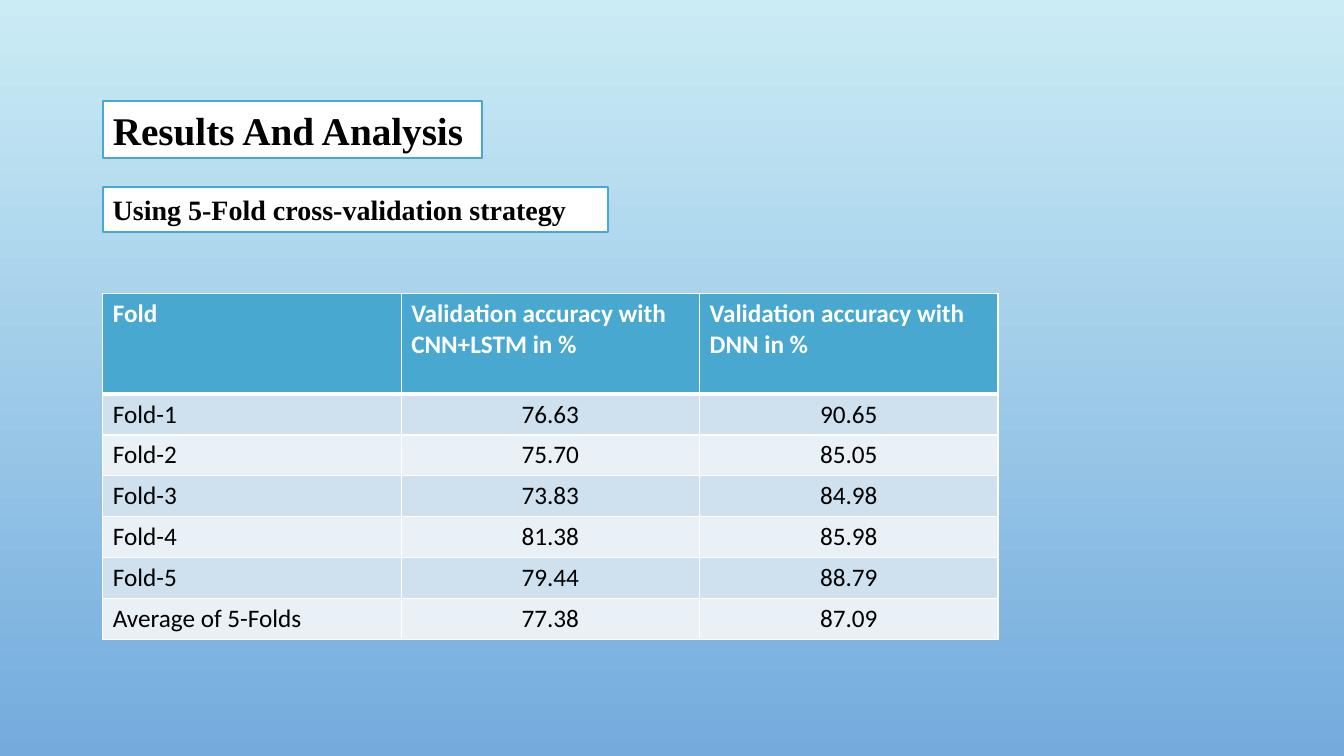
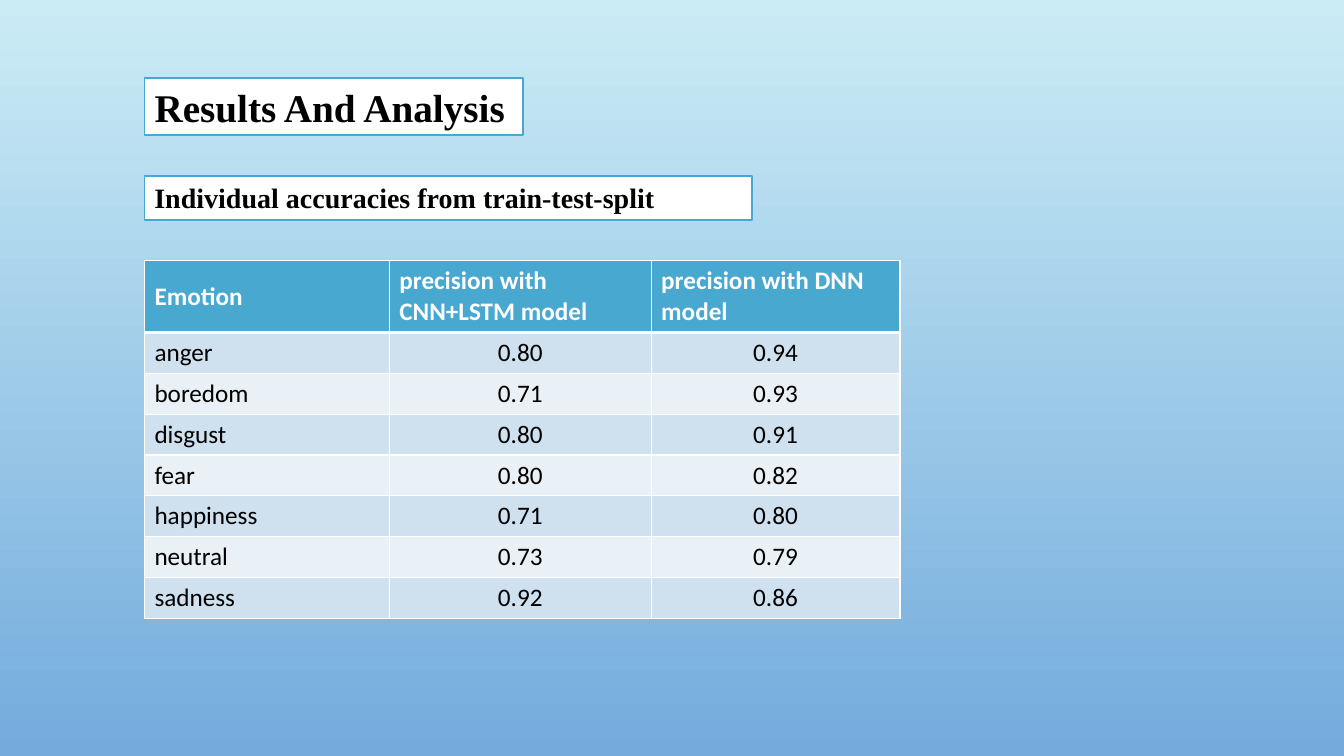
from dataclasses import dataclass

from lxml import etree
from pptx import Presentation
from pptx.dml.color import RGBColor
from pptx.enum.text import MSO_ANCHOR, MSO_AUTO_SIZE, PP_ALIGN
from pptx.oxml.ns import qn
from pptx.presentation import Presentation as Deck
from pptx.shapes.base import BaseShape
from pptx.slide import Slide
from pptx.table import _Cell
from pptx.text.text import Font
from pptx.util import Cm, Pt

TOP, MIDDLE = MSO_ANCHOR.TOP, MSO_ANCHOR.MIDDLE
LEFT, CENTER = PP_ALIGN.LEFT, PP_ALIGN.CENTER
FIXED_SIZE = MSO_AUTO_SIZE.NONE
TITLE_ONLY = 5


@dataclass(frozen=True)
class Theme:
    """Colours, fonts and type sizes used by every slide."""

    sky: str = "CBECF5"
    sea: str = "73ABDD"
    accent: str = "48A8D0"
    white: str = "FFFFFF"
    ink: str = "000000"
    bands: tuple[str, str] = ("CFE1EE", "E9F1F7")
    heading_font: str = "Times New Roman"
    table_font: str = "Calibri"
    title_size: float = 28
    subtitle_size: float = 20
    table_size: float = 18
    box_line: float = 1.25
    rule: float = 1
    header_rule: float = 3


@dataclass(frozen=True)
class ResultSlide:
    """Content of one result slide, with its lengths in centimetres."""

    left: float
    title_top: float
    subtitle: str
    subtitle_top: float
    subtitle_width: float
    table_top: float
    column_widths: tuple[float, ...]
    header_height: float
    anchor: MSO_ANCHOR
    header: tuple[str, ...]
    results: tuple[tuple[str, ...], ...]


THEME = Theme()
TITLE = "Results And Analysis"
TITLE_WIDTH, TITLE_HEIGHT, SUBTITLE_HEIGHT = 9.55, 1.45, 1.12
ROW_HEIGHT = 1.03

RESULT_SLIDES = (
    ResultSlide(
        left=2.59,
        title_top=2.54,
        subtitle="Using 5-Fold cross-validation strategy",
        subtitle_top=4.72,
        subtitle_width=12.73,
        table_top=7.39,
        column_widths=(7.52, 7.52, 7.52),
        header_height=2.54,
        anchor=TOP,
        header=("Fold", "Validation accuracy with CNN+LSTM in %", "Validation accuracy with DNN in %"),
        results=(
            ("Fold-1", "76.63", "90.65"),
            ("Fold-2", "75.70", "85.05"),
            ("Fold-3", "73.83", "84.98"),
            ("Fold-4", "81.38", "85.98"),
            ("Fold-5", "79.44", "88.79"),
            ("Average of 5-Folds", "77.38", "87.09"),
        ),
    ),
    ResultSlide(
        left=3.64,
        title_top=1.96,
        subtitle="Individual accuracies from train-test-split",
        subtitle_top=4.43,
        subtitle_width=15.32,
        table_top=6.57,
        column_widths=(6.17, 6.6, 6.27),
        header_height=1.75,
        anchor=MIDDLE,
        header=("Emotion", "precision with CNN+LSTM model", "precision with DNN model"),
        results=(
            ("anger", "0.80", "0.94"),
            ("boredom", "0.71", "0.93"),
            ("disgust", "0.80", "0.91"),
            ("fear", "0.80", "0.82"),
            ("happiness", "0.71", "0.80"),
            ("neutral", "0.73", "0.79"),
            ("sadness", "0.92", "0.86"),
        ),
    ),
)


def rgb(value: str) -> RGBColor:
    """Turn a hex string into a colour."""
    return RGBColor.from_string(value)


def format_font(font: Font, name: str, size: float, color: str, bold: bool) -> None:
    """Set the typeface, size, colour and weight of a font."""
    font.name, font.size, font.bold = name, Pt(size), bold
    font.color.rgb = rgb(color)


def paint_background(deck: Deck) -> None:
    """Give the master a vertical gradient that all slides inherit."""
    fill = deck.slide_master.background.fill
    fill.gradient()
    fill.gradient_angle = 270
    for stop, color in zip(fill.gradient_stops, (THEME.sky, THEME.sea)):
        stop.color.rgb = rgb(color)


def style_heading(heading: BaseShape, text: str, size: float) -> None:
    """Write a heading into a white box with an accent outline."""
    heading.fill.solid()
    heading.fill.fore_color.rgb = rgb(THEME.white)
    heading.line.color.rgb = rgb(THEME.accent)
    heading.line.width = Pt(THEME.box_line)
    frame = heading.text_frame
    frame.text = text
    frame.word_wrap, frame.auto_size, frame.vertical_anchor = True, FIXED_SIZE, TOP
    paragraph = frame.paragraphs[0]
    paragraph.alignment = LEFT
    format_font(paragraph.runs[0].font, THEME.heading_font, size, THEME.ink, True)


def draw_borders(cell: _Cell, top: float, bottom: float) -> None:
    """Rule the four sides of a cell in white."""
    properties = cell._tc.get_or_add_tcPr()
    sides = (("a:lnL", THEME.rule), ("a:lnR", THEME.rule), ("a:lnT", top), ("a:lnB", bottom))
    for tag, width in sides:
        line = etree.SubElement(properties, qn(tag), w=str(Pt(width)))
        solid = etree.SubElement(line, qn("a:solidFill"))
        etree.SubElement(solid, qn("a:srgbClr"), val=THEME.white)


def fill_cell(cell: _Cell, text: str, row: int, column: int, anchor: MSO_ANCHOR) -> None:
    """Write and format one table cell by its place in the table."""
    is_header = row == 0
    draw_borders(
        cell,
        top=THEME.header_rule if row == 1 else THEME.rule,
        bottom=THEME.header_rule if is_header else THEME.rule,
    )
    cell.fill.solid()
    cell.fill.fore_color.rgb = rgb(THEME.accent if is_header else THEME.bands[(row - 1) % 2])
    cell.vertical_anchor = anchor
    cell.text_frame.text = text
    paragraph = cell.text_frame.paragraphs[0]
    paragraph.alignment = LEFT if is_header or column == 0 else CENTER
    color = THEME.white if is_header else THEME.ink
    format_font(paragraph.runs[0].font, THEME.table_font, THEME.table_size, color, is_header)


def add_results(slide: Slide, content: ResultSlide) -> None:
    """Add the table of results."""
    rows = (content.header, *content.results)
    heights = (content.header_height, *(ROW_HEIGHT for _ in content.results))
    table = slide.shapes.add_table(
        len(rows), len(content.header),
        Cm(content.left), Cm(content.table_top),
        Cm(sum(content.column_widths)), Cm(sum(heights)),
    ).table
    for column, width in zip(table.columns, content.column_widths):
        column.width = Cm(width)
    for row_index, (texts, height) in enumerate(zip(rows, heights)):
        table.rows[row_index].height = Cm(height)
        for column_index, text in enumerate(texts):
            cell = table.cell(row_index, column_index)
            fill_cell(cell, text, row_index, column_index, content.anchor)


def add_result_slide(deck: Deck, content: ResultSlide) -> None:
    """Add a slide with a title, a subtitle and a table of results."""
    slide = deck.slides.add_slide(deck.slide_layouts[TITLE_ONLY])
    title = slide.shapes.title
    title.left, title.top = Cm(content.left), Cm(content.title_top)
    title.width, title.height = Cm(TITLE_WIDTH), Cm(TITLE_HEIGHT)
    style_heading(title, TITLE, THEME.title_size)
    subtitle = slide.shapes.add_textbox(
        Cm(content.left), Cm(content.subtitle_top),
        Cm(content.subtitle_width), Cm(SUBTITLE_HEIGHT),
    )
    style_heading(subtitle, content.subtitle, THEME.subtitle_size)
    add_results(slide, content)


def main() -> None:
    """Build and save the presentation."""
    deck = Presentation()
    deck.slide_width, deck.slide_height = Cm(33.87), Cm(19.05)
    paint_background(deck)
    for content in RESULT_SLIDES:
        add_result_slide(deck, content)
    deck.save("out.pptx")


if __name__ == "__main__":
    main()
